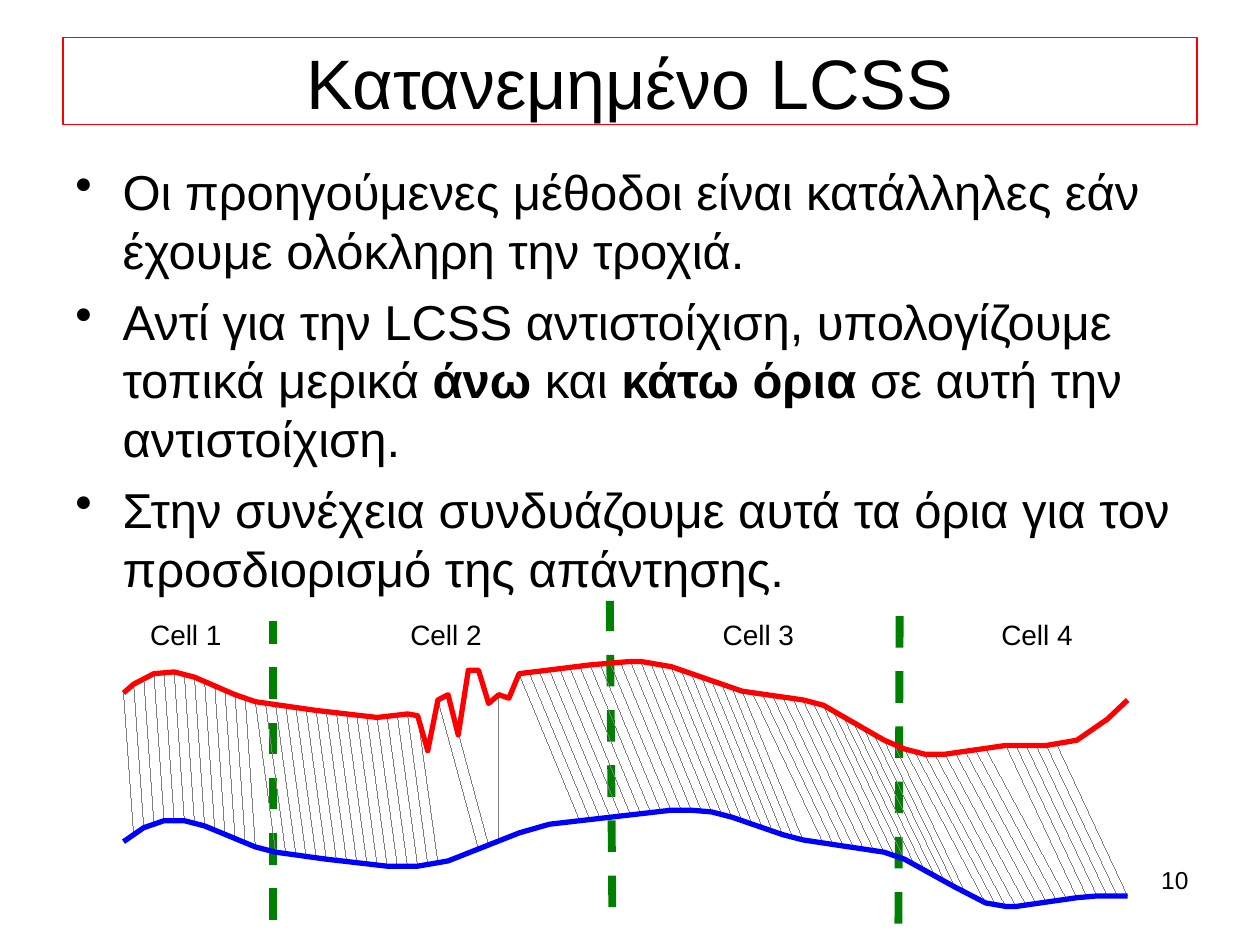
from collections import namedtuple
from itertools import pairwise

from lxml import etree
from pptx import Presentation
from pptx import util as u
from pptx.dml import color
from pptx.enum import dml, shapes, text
from pptx.oxml import ns

Pt = u.Pt
ALIGN = text.PP_ALIGN
COLORS = {"black": "000000", "red": "FF0000", "blue": "0000FF",
          "green": "008000", "gray": "7F7F7F"}
FONT = "Arial"
SAMPLES = 100
CURVE_LEFT, CURVE_WIDTH = 70.6, 573.8
SAMPLE_STEP = CURVE_WIDTH / (SAMPLES - 1)
HAIRLINE = 0.01

Bend = namedtuple("Bend", "sample y")
MatchRun = namedtuple("MatchRun", "first last lag")
Border = namedtuple("Border", "x_bottom bottom x_top top")
Cell = namedtuple("Cell", "left width")

UPPER_START = [Bend(0, 396), Bend(1, 391), Bend(3, 385), Bend(5, 384), Bend(7, 387),
               Bend(11, 397), Bend(13, 401), Bend(19, 406), Bend(25, 410), Bend(28, 408)]
UPPER_NOISE = [Bend(sample, y) for sample, y in enumerate(
    [409, 429, 400, 397, 420, 383, 383, 402, 397, 399, 385], 29)]
UPPER_END = [Bend(46, 380), Bend(50, 378), Bend(51, 378), Bend(54, 381), Bend(55, 383),
             Bend(61, 395), Bend(67, 400), Bend(69, 403), Bend(75, 423), Bend(77, 428),
             Bend(79, 431), Bend(81, 431), Bend(87, 426), Bend(91, 426), Bend(94, 423),
             Bend(97, 411), Bend(99, 400)]
LOWER_BENDS = [Bend(0, 481), Bend(2, 473), Bend(4, 469), Bend(6, 469), Bend(8, 472),
               Bend(13, 484), Bend(15, 487), Bend(20, 491), Bend(26, 495), Bend(29, 495),
               Bend(32, 492), Bend(39, 476), Bend(42, 471), Bend(54, 463), Bend(56, 463),
               Bend(58, 464), Bend(60, 467), Bend(65, 477), Bend(67, 480), Bend(75, 487),
               Bend(77, 491), Bend(82, 507), Bend(85, 516), Bend(87, 518), Bend(88, 518),
               Bend(94, 513), Bend(96, 512), Bend(99, 512)]
MATCH_RUNS = [MatchRun(0, 12, 1), MatchRun(13, 29, 2), MatchRun(31, 32, 4),
              MatchRun(37, 37, 0), MatchRun(39, 61, 6), MatchRun(62, 76, 7),
              MatchRun(77, 85, 8), MatchRun(87, 92, 7)]
CELL_BORDERS = [Border(156.2, 525.6, 156.2, 355), Border(349.9, 518.4, 348.5, 343.4),
                Border(513.4, 527.8, 514.1, 349.2)]
CELLS = [Cell(65.5, 81.4), Cell(161.3, 187.2), Cell(354.2, 158.4), Cell(513.4, 158.4)]
BULLETS = [
    [("Oι προηγούμενες μέθοδοι είναι κατάλληλες εάν έχουμε ολόκληρη την τροχιά.", False)],
    [("Αντί για την LCSS αντιστοίχιση, υπολογίζουμε τοπικά μερικά ", False),
     ("άνω ", True), ("και ", False), ("κάτω όρια ", True),
     ("σε αυτή την αντιστοίχιση.", False)],
    [("Στην συνέχεια συνδυάζουμε αυτά τα όρια για τον προσδιορισμό της απάντησης.", False)],
]


def rgb(name):
    return color.RGBColor.from_string(COLORS[name])


def add_run(p, content, size=16, bold=False):
    r = p.add_run()
    r.text = content
    r.font.name = FONT
    r.font.size = Pt(size)
    r.font.bold = bold
    r.font.color.rgb = rgb("black")


def add_text_frame(s, x, y, w, h):
    tf = s.shapes.add_textbox(Pt(x), Pt(y), Pt(w), Pt(h)).text_frame
    tf.word_wrap = True
    return tf


def add_label(s, content, x, y, w, h, size=16, align=ALIGN.CENTER):
    p = add_text_frame(s, x, y, w, h).paragraphs[0]
    p.alignment = align
    add_run(p, content, size=size)


def set_title(s, content):
    sp = s.shapes.title
    sp.left, sp.top, sp.width, sp.height = Pt(36), Pt(21.6), Pt(648), Pt(49.7)
    sp.line.color.rgb = rgb("red")
    sp.line.width = Pt(0.75)
    tf = sp.text_frame
    tf.word_wrap = True
    tf.auto_size = text.MSO_AUTO_SIZE.NONE
    tf.vertical_anchor = text.MSO_ANCHOR.MIDDLE
    tf.paragraphs[0].alignment = ALIGN.CENTER
    add_run(tf.paragraphs[0], content, size=40)


def add_bullets(s, items):
    tf = add_text_frame(s, 36, 88.6, 648, 391.7)
    for i, runs in enumerate(items):
        p = tf.add_paragraph() if i else tf.paragraphs[0]
        pPr = p._p.get_or_add_pPr()
        pPr.set("marL", str(Pt(27)))
        pPr.set("indent", str(-Pt(27)))
        etree.SubElement(pPr, ns.qn("a:buChar"), char="•")
        if i:
            p.space_before = Pt(7)
        for content, bold in runs:
            add_run(p, content, size=28, bold=bold)


def add_line(parent, start, end, hue, width, dash=None):
    c = parent.shapes.add_connector(shapes.MSO_CONNECTOR.STRAIGHT,
                                    *map(Pt, start), *map(Pt, end))
    c.line.color.rgb = rgb(hue)
    c.line.width = Pt(width)
    if dash:
        c.line.dash_style = dash
    etree.SubElement(c._element.spPr, ns.qn("a:effectLst"))


def curve_points(bends):
    heights = [bends[0].y]
    for a, b in pairwise(bends):
        slope = (b.y - a.y) / (b.sample - a.sample)
        heights += [a.y + slope * k for k in range(1, b.sample - a.sample + 1)]
    return [(CURVE_LEFT + i * SAMPLE_STEP, y) for i, y in enumerate(heights)]


def add_curve(parent, points, hue):
    first, *rest = [(Pt(x), Pt(y)) for x, y in points]
    builder = parent.shapes.build_freeform(*first)
    builder.add_line_segments(rest, close=False)
    sp = builder.convert_to_shape()
    sp.shadow.inherit = False
    sp.fill.background()
    sp.line.color.rgb = rgb(hue)
    sp.line.width = Pt(3)


def add_matching(s):
    upper = curve_points(UPPER_START + UPPER_NOISE + UPPER_END)
    lower = curve_points(LOWER_BENDS)
    group = s.shapes.add_group_shape()
    for run in MATCH_RUNS:
        for i in range(run.first, run.last + 1):
            add_line(group, upper[i], lower[i + run.lag], "gray", HAIRLINE)
    add_curve(group, upper, "red")
    add_curve(group, lower, "blue")


def add_cells(s):
    for b in CELL_BORDERS:
        add_line(s, (b.x_bottom, b.bottom), (b.x_top, b.top), "green", 4.5,
                 dash=dml.MSO_LINE.DASH)
    for n, cell in enumerate(CELLS, 1):
        add_label(s, f"Cell {n}", cell.left, 349.2, cell.width, 26.6)


def main():
    prs = Presentation()
    prs.slide_width, prs.slide_height = Pt(720), Pt(540)
    s = prs.slides.add_slide(prs.slide_layouts[5])
    set_title(s, "Κατανεμημένο LCSS")
    add_bullets(s, BULLETS)
    add_cells(s)
    add_matching(s)
    add_label(s, "10", 518.4, 491, 167.8, 37.4, size=14, align=ALIGN.RIGHT)
    prs.save("out.pptx")


if __name__ == "__main__":
    main()
